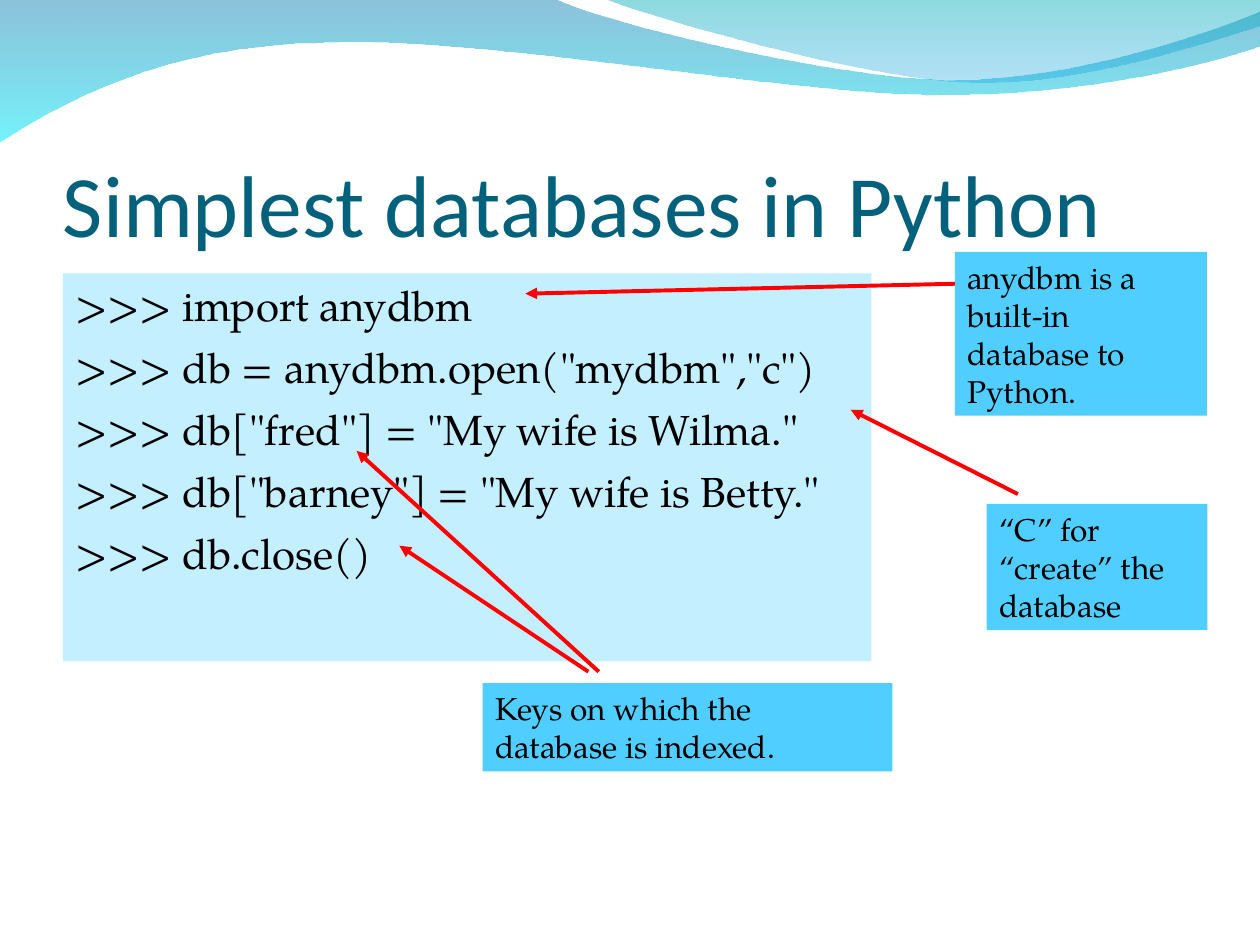
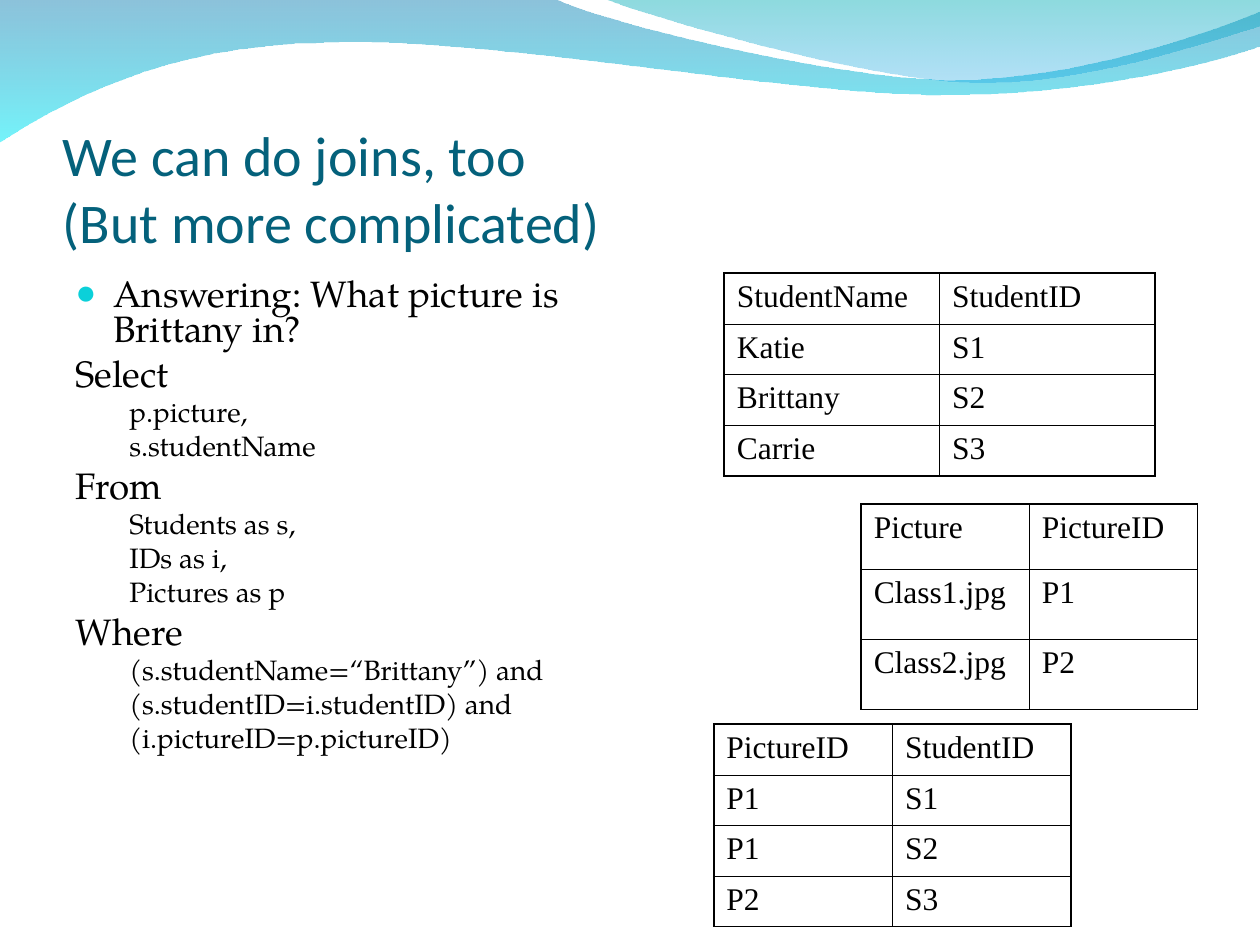
from dataclasses import dataclass

from lxml.etree import SubElement
from pptx import Presentation
from pptx.dml.color import RGBColor
from pptx.enum.shapes import MSO_CONNECTOR
from pptx.enum.text import MSO_ANCHOR, MSO_AUTO_SIZE, PP_ALIGN
from pptx.oxml.ns import qn
from pptx.util import Cm, Pt


@dataclass(frozen=True)
class Theme:
    title: str = "04617B"
    ink: str = "000000"
    code_fill: str = "C4EFFF"
    callout_fill: str = "4FCEFF"
    arrow: str = "FF0000"
    bullet: str = "0BD0D9"
    title_font: str = "Calibri"
    body_font: str = "TeX Gyre Pagella"
    table_font: str = "Times New Roman"
    title_size: float = 50
    long_title_size: float = 32
    code_size: float = 24
    clause_size: float = 21
    detail_size: float = 16
    note_size: float = 18
    arrow_width: float = 2.25
    outer_border: float = 1.08
    inner_border: float = 0.45


THEME = Theme()
TITLE_BOX = (1.27, 1.96, 22.86, 3.18)
CONTENT_BOX = (1.27, 5.51, 22.86, 12.7)

WAVES = [
    {
        "start": (0, -0.03),
        "steps": [
            [(11.18, -0.03)],
            [(12.09, 0.43), (16.87, 1.6), (19.25, 1.6)],
            [(21.67, 1.6), (24.33, 0.66), (25.4, 0.23)],
            [(25.43, 0.91)],
            [(24.97, 1.12), (22.1, 1.93), (18.95, 1.91)],
            [(15.75, 1.91), (9.7, 0.71), (6.53, 0.86)],
            [(3.28, 0.89), (1.17, 2.11), (-0.03, 2.87)],
            [(0, -0.03)],
        ],
        "stops": [("0079AF", 45), ("00EBF8", 55)],
    },
    {
        "start": (12.17, -0.03),
        "steps": [
            [(12.93, 0.28), (17.32, 1.57), (19.53, 1.65)],
            [(21.74, 1.75), (24.41, 0.81), (25.4, 0.53)],
            [(25.4, 0)],
            [(12.17, -0.03)],
        ],
        "stops": [("00ADB6", 45), ("009BE5", 30)],
    },
]

CODE = [
    ">>> import anydbm",
    '>>> db = anydbm.open("mydbm","c")',
    '>>> db["fred"] = "My wife is Wilma."',
    '>>> db["barney"] = "My wife is Betty."',
    ">>> db.close()",
]

CALLOUTS = [
    ("anydbm is a built-in database to Python.", (17.98, -0.43, 5.08, 3.3),
     [((17.98, 0.21), (9.32, 0.41))]),
    ("“C” for “create” the database", (18.62, 4.65, 4.45, 2.54),
     [((19.25, 4.45), (15.88, 2.75))]),
    ("Keys on which the database is indexed.", (8.46, 8.26, 8.26, 1.78),
     [((10.8, 8.03), (5.92, 3.58)), ((10.59, 8.03), (6.78, 5.49))]),
]

QUERY = [
    ("Select", ["p.picture,", "s.studentName"]),
    ("From", ["Students as s,", "IDs as i,", "Pictures as p"]),
    ("Where", ["(s.studentName=“Brittany”) and",
               "(s.studentID=i.studentID) and",
               "(i.pictureID=p.pictureID)"]),
]

TABLES = [
    ((16.09, 4.65), 3.39, [1.32, 1.41, 1.41],
     [("Picture", "PictureID"), ("Class1.jpg", "P1"), ("Class2.jpg", "P2")]),
    ((13.33, 0), 4.34, [1.02] * 4,
     [("StudentName", "StudentID"), ("Katie", "S1"), ("Brittany", "S2"), ("Carrie", "S3")]),
    ((13.12, 9.09), 3.6, [1.02] * 4,
     [("PictureID", "StudentID"), ("P1", "S1"), ("P1", "S2"), ("P2", "S3")]),
]


def apply(target, formats):
    for name, value in formats.items():
        setattr(target, name, value)


def rgb(colour):
    return RGBColor.from_string(colour)


def within(box, left, top):
    return box[0] + left, box[1] + top


def write(paragraph, text, size, font=THEME.body_font, colour=THEME.ink, **formats):
    paragraph.text = text
    apply(paragraph, {"alignment": PP_ALIGN.LEFT, **formats})
    for run in paragraph.runs:
        apply(run.font, {"size": Pt(size), "name": font})
        run.font.color.rgb = rgb(colour)


def hang(paragraph, margin, indent):
    properties = paragraph._p.get_or_add_pPr()
    properties.set("marL", str(Cm(margin)))
    properties.set("indent", str(Cm(indent)))
    return properties


def text_region(slide, box, fill=None, **formats):
    region = slide.shapes.add_textbox(*map(Cm, box))
    if fill:
        region.fill.solid()
        region.fill.fore_color.rgb = rgb(fill)
    frame = region.text_frame
    apply(frame, {"word_wrap": True, "vertical_anchor": MSO_ANCHOR.TOP, **formats})
    return frame


def next_paragraph(frame):
    first = frame.paragraphs[0]
    return frame.add_paragraph() if first.runs else first


def bend(outline, steps):
    segments = iter(list(outline._element.iter(qn("a:lnTo"))))
    for controls in steps:
        first, *others = [next(segments) for _ in controls]
        if others:
            first.tag = qn("a:cubicBezTo")
        for segment in others:
            first.append(segment[0])
            segment.getparent().remove(segment)


def waves(slide):
    for wave in WAVES:
        points = [(Cm(x), Cm(y)) for controls in wave["steps"] for x, y in controls]
        builder = slide.shapes.build_freeform(*map(Cm, wave["start"]))
        builder.add_line_segments(points, close=True)
        band = builder.convert_to_shape()
        bend(band, wave["steps"])
        band.shadow.inherit = False
        band.line.fill.background()
        band.fill.gradient()
        band.fill.gradient_angle = 270
        for stop, (colour, _) in zip(band.fill.gradient_stops, wave["stops"]):
            stop.color.rgb = rgb(colour)
        for node, (_, opacity) in zip(band._element.iter(qn("a:srgbClr")), wave["stops"]):
            SubElement(node, qn("a:alpha"), val=str(opacity * 1000))


def title(slide, box, text, size):
    frame = text_region(slide, box, vertical_anchor=MSO_ANCHOR.BOTTOM,
                        margin_left=0, margin_right=0, margin_bottom=0)
    write(frame.paragraphs[0], text, size, THEME.title_font, THEME.title)


def code_panel(slide, box):
    frame = text_region(slide, box, THEME.code_fill)
    for index, line in enumerate(CODE):
        paragraph = next_paragraph(frame)
        hang(paragraph, 0.76, -0.76)
        write(paragraph, line, THEME.code_size, space_before=Pt(6.6 if index else 0))


def arrow(slide, start, end):
    pointer = slide.shapes.add_connector(
        MSO_CONNECTOR.STRAIGHT, *map(Cm, (*start, *end)))
    pointer.line.color.rgb = rgb(THEME.arrow)
    pointer.line.width = Pt(THEME.arrow_width)
    SubElement(pointer.line._get_or_add_ln(), qn("a:tailEnd"), type="triangle")
    SubElement(pointer._element.spPr, qn("a:effectLst"))


def callouts(slide, box):
    for text, (left, top, width, height), pointers in CALLOUTS:
        frame = text_region(slide, (*within(box, left, top), width, height),
                            THEME.callout_fill,
                            auto_size=MSO_AUTO_SIZE.SHAPE_TO_FIT_TEXT)
        write(frame.paragraphs[0], text, THEME.note_size)
        for start, end in pointers:
            arrow(slide, within(box, *start), within(box, *end))


def query(slide, box):
    frame = text_region(slide, box)
    question = frame.paragraphs[0]
    properties = hang(question, 0.76, -0.76)
    bullet_colour = SubElement(properties, qn("a:buClr"))
    SubElement(bullet_colour, qn("a:srgbClr"), val=THEME.bullet)
    SubElement(properties, qn("a:buSzPct"), val="95000")
    SubElement(properties, qn("a:buFont"), typeface=THEME.table_font)
    SubElement(properties, qn("a:buChar"), char="●")
    write(question, "Answering: What picture is Brittany in?",
          THEME.clause_size, line_spacing=0.8)
    for clause, details in QUERY:
        paragraph = next_paragraph(frame)
        hang(paragraph, 0.76, -0.76)
        write(paragraph, clause, THEME.clause_size, line_spacing=0.8, space_before=Pt(5.2))
        for detail in details:
            paragraph = next_paragraph(frame)
            hang(paragraph, 1.78, -0.69)
            write(paragraph, detail, THEME.detail_size,
                  level=1, line_spacing=0.8, space_before=Pt(4))


def border(cell, outer_sides):
    properties = cell._tc.get_or_add_tcPr()
    for side in "LRTB":
        width = THEME.outer_border if side in outer_sides else THEME.inner_border
        edge = SubElement(properties, qn(f"a:ln{side}"), w=str(Pt(width)))
        fill = SubElement(edge, qn("a:solidFill"))
        SubElement(fill, qn("a:srgbClr"), val=THEME.ink)


def data_table(slide, corner, column_width, row_heights, records):
    columns = len(records[0])
    size = (column_width * columns, sum(row_heights))
    table = slide.shapes.add_table(
        len(records), columns, *map(Cm, (*corner, *size))).table
    apply(table, {"first_row": False, "horz_banding": False})
    for column in table.columns:
        column.width = Cm(column_width)
    for r, (height, record) in enumerate(zip(row_heights, records)):
        table.rows[r].height = Cm(height)
        for c, value in enumerate(record):
            cell = table.cell(r, c)
            outer = {"L": c == 0, "R": c == columns - 1,
                     "T": r == 0, "B": r == len(records) - 1}
            border(cell, [side for side, on_edge in outer.items() if on_edge])
            cell.fill.background()
            write(cell.text_frame.paragraphs[0], value, THEME.note_size, THEME.table_font)


def new_slide(deck, heading, heading_size):
    slide = deck.slides.add_slide(deck.slide_layouts[6])
    waves(slide)
    title(slide, TITLE_BOX, heading, heading_size)
    return slide


def simplest_databases(deck, box):
    slide = new_slide(deck, "Simplest databases in Python", THEME.title_size)
    code_panel(slide, (*box[:2], 16.3, 7.82))
    callouts(slide, box)


def joins(deck, box):
    slide = new_slide(deck, "We can do joins, too\n(But more complicated)",
                      THEME.long_title_size)
    query(slide, (*box[:2], 12.7, 10.8))
    for offset, column_width, row_heights, records in TABLES:
        data_table(slide, within(box, *offset), column_width, row_heights, records)


def main():
    deck = Presentation()
    apply(deck, {"slide_width": Cm(25.4), "slide_height": Cm(19.05)})
    simplest_databases(deck, CONTENT_BOX)
    joins(deck, CONTENT_BOX)
    deck.save("out.pptx")


if __name__ == "__main__":
    main()
